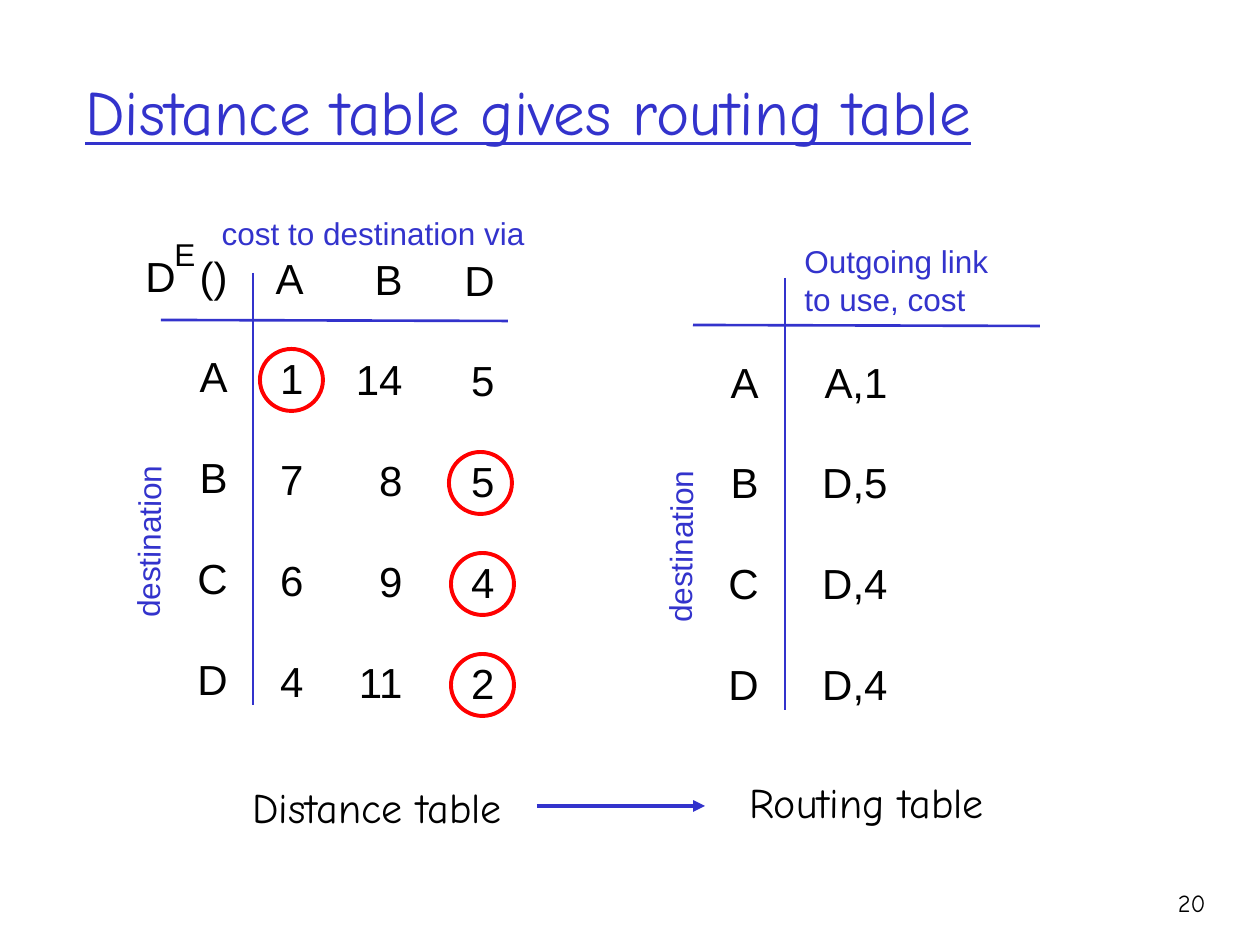
from pptx import Presentation
from pptx.dml.color import RGBColor
from pptx.enum.shapes import MSO_CONNECTOR, MSO_SHAPE
from pptx.enum.text import MSO_ANCHOR, PP_ALIGN
from pptx.oxml.ns import qn
from pptx.util import Pt
from lxml.etree import SubElement

SCALE = 914400 / 126
COLORS = {"blue": "3333CC", "red": "FF0000", "black": "000000"}
SANS, COMIC = "Arial", "Comic Neue"
LEFT, RIGHT = PP_ALIGN.LEFT, PP_ALIGN.RIGHT


def px(n):
    return round(n * SCALE)


def rgb(name):
    return RGBColor.from_string(COLORS[name])


def add_text(s, box, lines, size, color="black", font=SANS, align=LEFT,
             gap=0, wrap=False, underline=False, pitch=1.2):
    sp = s.shapes.add_textbox(*map(px, box))
    tf = sp.text_frame
    tf.word_wrap = wrap
    for i, line in enumerate(lines):
        p = tf.paragraphs[0] if i == 0 else tf.add_paragraph()
        p.alignment = align
        if pitch:
            p.line_spacing = Pt(size * pitch)
        if i:
            p.space_before = Pt(gap)
        r = p.add_run()
        r.text = line
        r.font.name = font
        r.font.size = Pt(size)
        r.font.underline = underline
        r.font.color.rgb = rgb(color)
    return sp


def add_column(s, x, y, width, entries):
    height = 13 + 101 * len(entries) - 50
    add_text(s, (x, y, width, height), entries, 24, align=RIGHT, gap=28.8)


def add_line(s, x1, y1, x2, y2, weight=1.5, arrow=False):
    c = s.shapes.add_connector(MSO_CONNECTOR.STRAIGHT, *map(px, (x1, y1, x2, y2)))
    c.line.color.rgb = rgb("blue")
    c.line.width = Pt(weight)
    if arrow:
        SubElement(c.line._get_or_add_ln(), qn("a:tailEnd"), type="triangle")
    SubElement(c._element.spPr, qn("a:effectLst"))


def add_ring(s, x, y):
    sp = s.shapes.add_shape(MSO_SHAPE.OVAL, *map(px, (x, y, 63, 62)))
    sp.shadow.inherit = False
    sp.fill.background()
    sp.line.color.rgb = rgb("red")
    sp.line.width = Pt(2.25)


def add_table_frame(s, x, y):
    add_line(s, x, y, x + 347, y + 1)
    add_line(s, x + 92, y - 47, x + 92, y + 385)
    label = add_text(s, (x - 102, y + 197, 178, 50), ["destination"], 18, "blue", align=RIGHT)
    label.rotation = 270.6


def add_distance_table(s):
    add_text(s, (133, 244, 57, 63), ["D"], 24)
    columns = [
        (183, 244, 57, ["()", "A", "B", "C", "D"]),
        (261, 246, 55, ["A", "1", "7", "6", "4"]),
        (341, 247, 74, ["B", "14", "8", "9", "11"]),
        (450, 248, 57, ["D", "5", "5", "4", "2"]),
    ]
    for column in columns:
        add_column(s, *column)
    add_table_frame(s, 161, 320)
    for x, y in [(260, 349), (449, 452), (451, 553), (451, 654)]:
        add_ring(s, x, y)
    add_text(s, (162, 229, 45, 50), ["E"], 18, align=RIGHT)
    add_text(s, (208, 208, 329, 50), ["cost to destination via"], 18, "blue", align=RIGHT)


def add_routing_table(s):
    add_column(s, 714, 350, 57, ["A", "B", "C", "D"])
    add_column(s, 800, 350, 100, ["A,1", "D,5", "D,4", "D,4"])
    add_table_frame(s, 693, 325)
    add_text(s, (792, 236, 220, 88), ["Outgoing link", "to use, cost"], 18, "blue")


def main():
    prs = Presentation()
    prs.slide_width, prs.slide_height = px(1260), px(945)
    s = prs.slides.add_slide(prs.slide_layouts[6])

    title = add_text(s, (73, 32, 1071, 157), ["Distance table gives routing table"], 36,
                     "blue", COMIC, wrap=True, underline=True, pitch=None)
    title.text_frame.vertical_anchor = MSO_ANCHOR.MIDDLE

    add_distance_table(s)
    add_routing_table(s)

    add_text(s, (240, 775, 277, 63), ["Distance table"], 24, font=COMIC)
    add_text(s, (737, 770, 261, 63), ["Routing table"], 24, font=COMIC)
    add_line(s, 537, 806, 705, 806, weight=2.25, arrow=True)
    add_text(s, (1125, 882, 93, 63), ["20"], 14, font=COMIC, align=RIGHT,
             wrap=True, pitch=None)

    prs.save("out.pptx")


if __name__ == "__main__":
    main()
